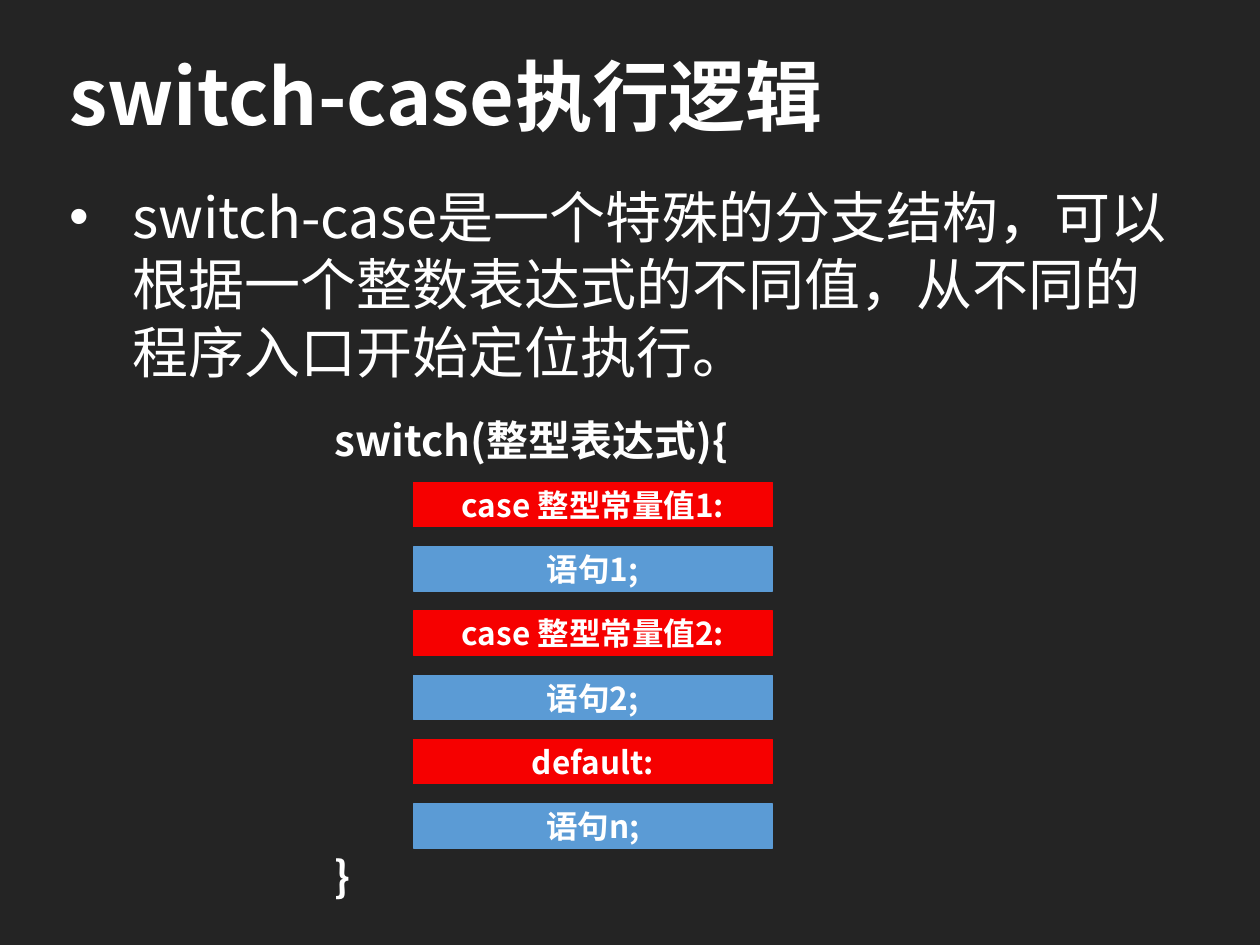
from dataclasses import dataclass
from lxml import etree
from pptx import Presentation
from pptx.dml.color import RGBColor
from pptx.enum import shapes, text
from pptx.oxml import ns
from pptx.util import Inches, Pt


@dataclass
class Theme:
    font: str = "Noto Sans CJK SC"
    back: str = "242424"
    ink: str = "FFFFFF"
    case: str = "F60000"
    step: str = "5B9BD5"
    head: int = 44
    body: int = 32
    code: int = 24
    label: int = 18


theme = Theme()


def write(shape, words, size, bold=True, wrap=True, bullet=None,
          align=text.PP_ALIGN.LEFT, anchor=text.MSO_ANCHOR.TOP):
    frame = shape.text_frame
    frame.word_wrap = wrap
    frame.vertical_anchor = anchor
    para = frame.paragraphs[0]
    para.alignment = align
    if bullet:
        props = para._p.get_or_add_pPr()
        props.set("marL", str(Inches(0.5)))
        props.set("indent", str(Inches(-0.5)))
        etree.SubElement(props, ns.qn("a:buFont")).set("typeface", "Arial")
        etree.SubElement(props, ns.qn("a:buChar")).set("char", bullet)
    run = para.add_run()
    run.text = words
    font = run.font
    font.name = theme.font
    font.size = Pt(size)
    font.bold = bold
    font.color.rgb = RGBColor.from_string(theme.ink)
    east = etree.SubElement(run._r.get_or_add_rPr(), ns.qn("a:ea"))
    east.set("typeface", theme.font)


deck = Presentation()
deck.slide_width, deck.slide_height = Inches(10), Inches(7.5)
slide = deck.slides.add_slide(deck.slide_layouts[5])
fill = slide.background.fill
fill.solid()
fill.fore_color.rgb = RGBColor.from_string(theme.back)

title = slide.shapes.title
title.left, title.top = Inches(0.45), Inches(0.23)
title.width, title.height = Inches(9.09), Inches(1.04)
write(title, "switch-case执行逻辑", theme.head, anchor=text.MSO_ANCHOR.MIDDLE)

body = slide.shapes.add_textbox(Inches(0.45), Inches(1.4), Inches(9.11), Inches(1.75))
write(body, "switch-case是一个特殊的分支结构，可以根据一个整数表达式的不同值，从不同的程序入口开始定位执行。",
      theme.body, bold=False, bullet="•")

for words, top, width in [("switch(整型表达式){", 3.24, 3.58), ("}", 6.7, 0.44)]:
    code = slide.shapes.add_textbox(Inches(2.56), Inches(top), Inches(width), Inches(0.52))
    write(code, words, theme.code)

labels = ["case 整型常量值1:", "语句1;", "case 整型常量值2:", "语句2;", "default:", "语句n;"]
for row, words in enumerate(labels):
    box = slide.shapes.add_shape(shapes.MSO_SHAPE.FLOWCHART_PROCESS, Inches(3.28),
                                 Inches(3.83 + 0.51 * row), Inches(2.85), Inches(0.35))
    tone = RGBColor.from_string(theme.step if row % 2 else theme.case)
    box.shadow.inherit = False
    box.fill.solid()
    box.fill.fore_color.rgb = tone
    box.line.color.rgb = tone
    box.line.width = Pt(0.75)
    write(box, words, theme.label, wrap=False, align=text.PP_ALIGN.CENTER,
          anchor=text.MSO_ANCHOR.MIDDLE)

deck.save("out.pptx")
